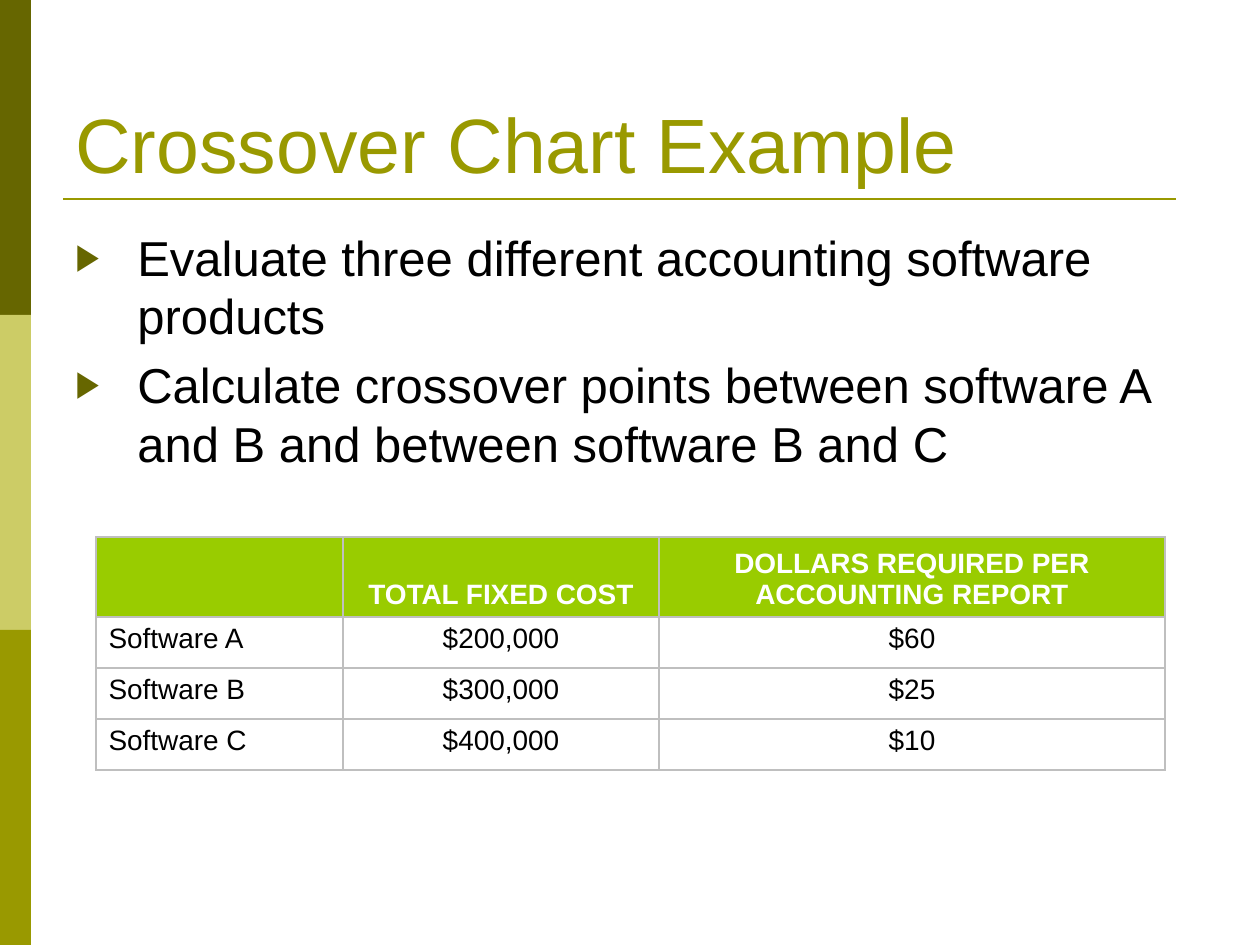
import dataclasses

import lxml.etree
import pptx
import pptx.dml.color
import pptx.enum.shapes
import pptx.enum.text
import pptx.oxml.ns
import pptx.util

PX_PER_INCH = 126
ANCHOR = pptx.enum.text.MSO_ANCHOR
ALIGN = pptx.enum.text.PP_ALIGN


@dataclasses.dataclass(frozen=True)
class Theme:
    font: str = "Arial"
    olive: str = "999900"
    dark_olive: str = "666600"
    light_olive: str = "CCCC66"
    header: str = "99CC00"
    border: str = "BFBFBF"
    text: str = "000000"
    white: str = "FFFFFF"
    title_size: int = 44
    body_size: int = 28
    table_size: int = 16


THEME = Theme()

BULLETS = [
    "Evaluate three different accounting software products",
    "Calculate crossover points between software A and B and between software B and C",
]
COST_ROWS = [
    ["", "TOTAL FIXED COST", "DOLLARS REQUIRED PER ACCOUNTING REPORT"],
    ["Software A", "$200,000", "$60"],
    ["Software B", "$300,000", "$25"],
    ["Software C", "$400,000", "$10"],
]
COLUMN_WIDTHS = [247, 316, 506]
ROW_HEIGHTS = [80, 51, 51, 51]


def px(length):
    return pptx.util.Emu(round(length * 914400 / PX_PER_INCH))


def color(value):
    return pptx.dml.color.RGBColor.from_string(value)


def add_element(parent, tag, **attributes):
    element = lxml.etree.SubElement(parent, pptx.oxml.ns.qn(tag))
    for name, value in attributes.items():
        element.set(name, str(value))
    return element


def add_run(paragraph, text, size, text_color, bold=False):
    run = paragraph.add_run()
    run.text = text
    run.font.name = THEME.font
    run.font.size = pptx.util.Pt(size)
    run.font.bold = bold
    run.font.color.rgb = color(text_color)


def add_bar(slide, left, top, width, height, fill):
    shape = slide.shapes.add_shape(
        pptx.enum.shapes.MSO_SHAPE.RECTANGLE, px(left), px(top), px(width), px(height))
    shape.shadow.inherit = False
    shape.fill.solid()
    shape.fill.fore_color.rgb = color(fill)
    shape.line.fill.background()


def add_rule(slide, left, right, y):
    line = slide.shapes.add_connector(
        pptx.enum.shapes.MSO_CONNECTOR.STRAIGHT, px(left), px(y), px(right), px(y))
    line.line.color.rgb = color(THEME.olive)
    line.line.width = pptx.util.Pt(1.5)
    add_element(line._element.spPr, "a:effectLst")


def add_text_frame(slide, left, top, width, height, anchor):
    frame = slide.shapes.add_textbox(px(left), px(top), px(width), px(height)).text_frame
    frame.word_wrap = True
    frame.vertical_anchor = anchor
    return frame


def add_bullets(frame, items):
    for index, item in enumerate(items):
        paragraph = frame.add_paragraph() if index else frame.paragraphs[0]
        if index:
            paragraph.space_before = pptx.util.Pt(THEME.body_size * 0.2)
        properties = paragraph._p.get_or_add_pPr()
        properties.set("marL", str(px(62)))
        properties.set("indent", str(-px(62)))
        bullet_color = add_element(properties, "a:buClr")
        add_element(bullet_color, "a:srgbClr", val=THEME.dark_olive)
        add_element(properties, "a:buSzPct", val=75000)
        add_element(properties, "a:buFont", typeface=THEME.font)
        add_element(properties, "a:buChar", char="▶")
        add_run(paragraph, item, THEME.body_size, THEME.text)


def set_borders(cell):
    properties = cell._tc.get_or_add_tcPr()
    for side in ("a:lnL", "a:lnR", "a:lnT", "a:lnB"):
        line = add_element(properties, side, w=pptx.util.Pt(1))
        fill = add_element(line, "a:solidFill")
        add_element(fill, "a:srgbClr", val=THEME.border)


def fill_cell(cell, text, is_header, is_label):
    set_borders(cell)
    if is_header:
        cell.fill.solid()
        cell.fill.fore_color.rgb = color(THEME.header)
    else:
        cell.fill.background()
    cell.vertical_anchor = ANCHOR.BOTTOM if is_header else ANCHOR.TOP
    paragraph = cell.text_frame.paragraphs[0]
    paragraph.alignment = ALIGN.LEFT if is_label else ALIGN.CENTER
    if text:
        text_color = THEME.white if is_header else THEME.text
        add_run(paragraph, text, THEME.table_size, text_color, bold=is_header)


def add_cost_table(slide, left, top):
    table = slide.shapes.add_table(
        len(ROW_HEIGHTS), len(COLUMN_WIDTHS), px(left), px(top),
        px(sum(COLUMN_WIDTHS)), px(sum(ROW_HEIGHTS))).table
    table.horz_banding = False
    for column, width in zip(table.columns, COLUMN_WIDTHS):
        column.width = px(width)
    for row, height in zip(table.rows, ROW_HEIGHTS):
        row.height = px(height)
    for row_index, values in enumerate(COST_ROWS):
        for column_index, value in enumerate(values):
            fill_cell(table.cell(row_index, column_index), value,
                      is_header=row_index == 0, is_label=column_index == 0)


def main():
    presentation = pptx.Presentation()
    presentation.slide_width = px(1260)
    presentation.slide_height = px(945)
    slide = presentation.slides.add_slide(presentation.slide_layouts[6])

    # Side stripe and title rule
    stripe_colors = [THEME.dark_olive, THEME.light_olive, THEME.olive]
    for index, fill in enumerate(stripe_colors):
        add_bar(slide, 0, index * 315, 31, 315, fill)
    add_rule(slide, 63, 1176, 199)

    # Title
    title = add_text_frame(slide, 63, 38, 1134, 157, ANCHOR.BOTTOM)
    add_run(title.paragraphs[0], "Crossover Chart Example", THEME.title_size, THEME.olive)

    # Bulleted tasks
    add_bullets(add_text_frame(slide, 63, 221, 1134, 300, ANCHOR.TOP), BULLETS)

    # Software costs
    add_cost_table(slide, 96, 537)

    presentation.save("out.pptx")


if __name__ == "__main__":
    main()
